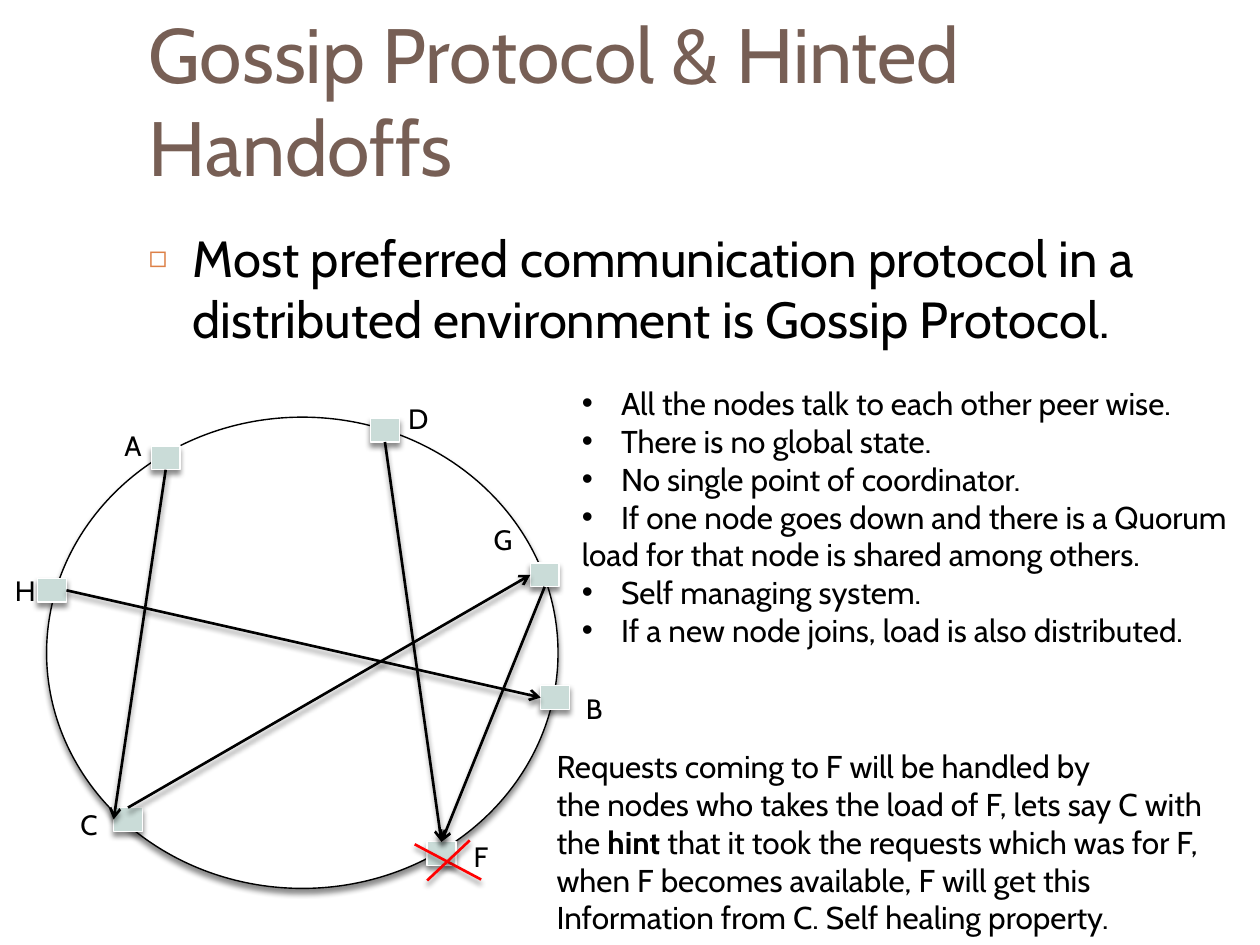
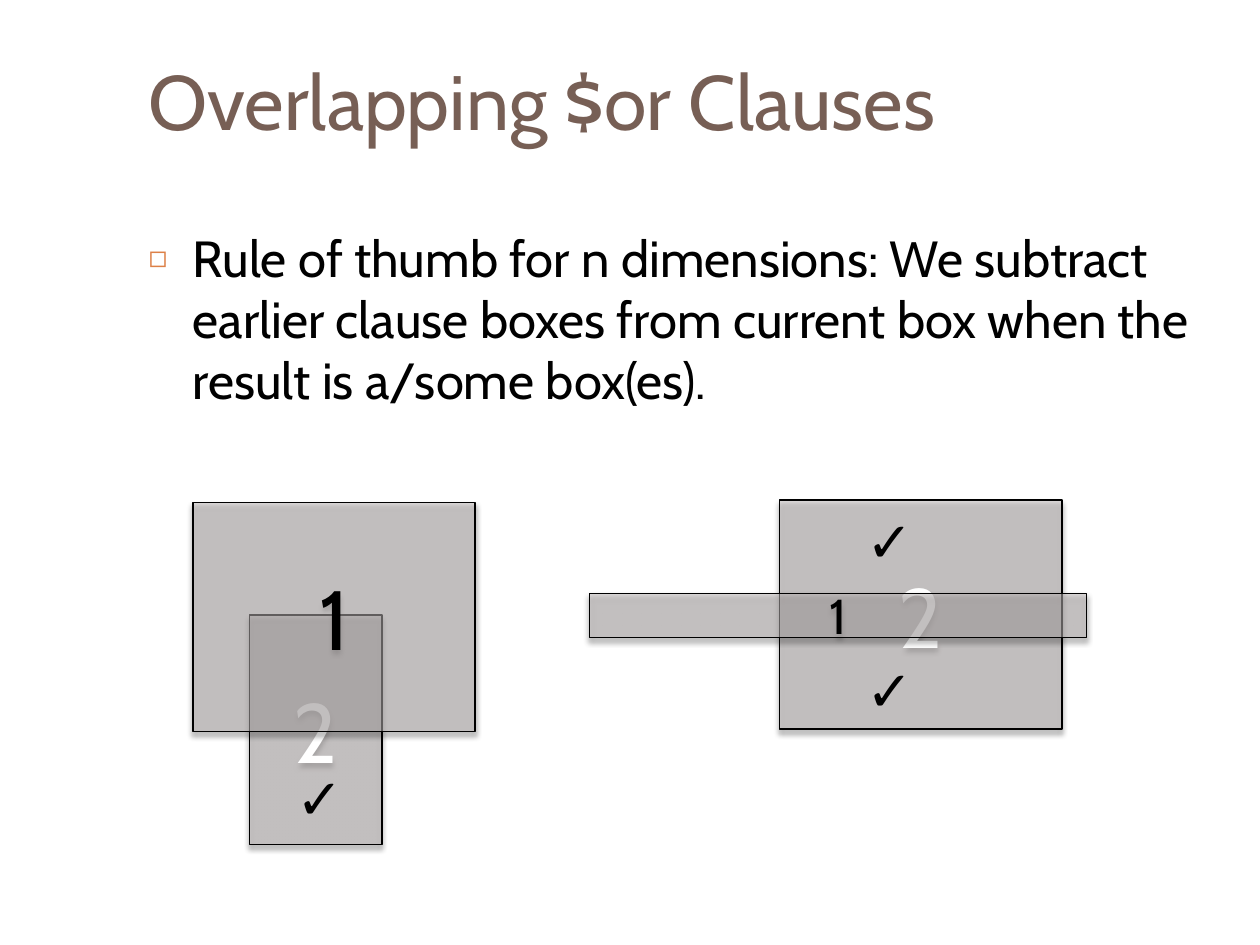
from dataclasses import dataclass

from lxml import etree
from pptx import Presentation
from pptx.dml.color import RGBColor
from pptx.enum.shapes import MSO_CONNECTOR, MSO_SHAPE
from pptx.enum.text import MSO_ANCHOR, MSO_AUTO_SIZE, PP_ALIGN
from pptx.oxml.ns import qn
from pptx.util import Cm, Pt

# Shared style
FONT, SYMBOL_FONT = "Cabin", "Arial"
BLACK, WHITE, RED = "000000", "FFFFFF", "FF0000"
TITLE_COLOR, BULLET_COLOR = "775F55", "DD8047"
NODE_FILL, BOX_FILL = "CADCD8", "C0BABA"
THIN, ARROW_WIDTH = 0.79, 1.5

STRAIGHT = MSO_CONNECTOR.STRAIGHT
CIRCLE, NODE_SHAPE = MSO_SHAPE.FLOWCHART_CONNECTOR, MSO_SHAPE.FLOWCHART_PROCESS
RECTANGLE = MSO_SHAPE.RECTANGLE
TOP, MIDDLE = MSO_ANCHOR.TOP, MSO_ANCHOR.MIDDLE
LEFT, CENTER = PP_ALIGN.LEFT, PP_ALIGN.CENTER
NO_AUTOFIT = MSO_AUTO_SIZE.NONE
SIDE_TOP, SIDE_LEFT, SIDE_BOTTOM, SIDE_RIGHT = range(4)


@dataclass
class Area:
    left: float
    top: float
    width: float
    height: float

    def lengths(self) -> tuple:
        return Cm(self.left), Cm(self.top), Cm(self.width), Cm(self.height)


@dataclass
class Node:
    name: str
    left: float
    top: float
    label_left: float
    label_top: float


@dataclass
class Message:
    sender: str
    sender_side: int
    receiver: str
    receiver_side: int


@dataclass
class ClauseBox:
    area: Area
    number: str
    size: int
    color: str


TITLE_AREA = Area(2.74, 0.63, 22.66, 2.74)
BODY_AREA = Area(2.74, 4.45, 22.66, 12.5)

# Gossip ring
RING_AREA = Area(0.94, 8.41, 10.31, 9.5)
NODES = [
    Node("A", 3.05, 8.99, 2.26, 8.51),
    Node("D", 7.47, 8.43, 7.98, 7.98),
    Node("G", 10.69, 11.35, 9.7, 10.41),
    Node("H", 0.76, 11.66, 0.05, 11.43),
    Node("C", 2.29, 16.28, 1.37, 16.15),
    Node("B", 10.9, 13.82, 11.56, 13.82),
    Node("F", 8.61, 16.97, 9.3, 16.79),
]
MESSAGES = [
    Message("A", SIDE_BOTTOM, "C", SIDE_LEFT),
    Message("D", SIDE_BOTTOM, "F", SIDE_TOP),
    Message("H", SIDE_RIGHT, "B", SIDE_LEFT),
    Message("C", SIDE_TOP, "G", SIDE_LEFT),
    Message("G", SIDE_BOTTOM, "F", SIDE_TOP),
]
FAILURE_CROSS = [(8.36, 17.02, 9.7, 17.73), (8.61, 17.75, 9.47, 16.94)]
GOSSIP_FACTS = [
    "• All the nodes talk to each other peer wise.",
    "• There is no global state.",
    "• No single point of coordinator.",
    "• If one node goes down and there is a Quorum",
    "load for that node is shared among others.",
    "• Self managing system.",
    "• If a new node joins, load is also distributed.",
]
HANDOFF_LINES = [
    "Requests coming to F will be handled by",
    "the nodes who takes the load of F, lets say C with",
    "the *hint* that it took the requests which was for F,",
    "when F becomes available, F will get this",
    "Information from C. Self healing property.",
]

# Clause boxes, from back to front
CLAUSE_BOXES = [
    ClauseBox(Area(5.03, 12.4, 2.67, 4.62), "2", 48, WHITE),
    ClauseBox(Area(15.72, 10.08, 5.69, 4.62), "2", 48, WHITE),
    ClauseBox(Area(11.89, 11.96, 10.01, 0.89), "1", 28, BLACK),
    ClauseBox(Area(3.89, 10.13, 5.69, 4.62), "1", 48, BLACK),
]
CHECK_POSITIONS = [(5.72, 15.27), (17.22, 13.08), (17.22, 10.08)]


def rgb(color: str) -> RGBColor:
    return RGBColor.from_string(color)


def add_xml(parent, tag: str, **attributes):
    return etree.SubElement(parent, qn(tag), attributes)


def format_paragraph(paragraph, size: float, color: str, font: str = FONT) -> None:
    for run in paragraph.runs:
        run.font.size = Pt(size)
        run.font.name = font
        run.font.color.rgb = rgb(color)


def add_bullet(paragraph, symbol: str, indent: float, color: str = BLACK, percent: int = 100) -> None:
    properties = paragraph._p.get_or_add_pPr()
    properties.set("marL", str(Cm(indent)))
    properties.set("indent", str(-Cm(indent)))
    add_xml(add_xml(properties, "a:buClr"), "a:srgbClr", val=color)
    add_xml(properties, "a:buSzPct", val=str(percent * 1000))
    add_xml(properties, "a:buFont", typeface=SYMBOL_FONT)
    add_xml(properties, "a:buChar", char=symbol)


def add_shadow(element) -> None:
    properties = element._element.spPr
    effects = properties.find(qn("a:effectLst"))
    if effects is None:
        effects = add_xml(properties, "a:effectLst")
    shadow = add_xml(effects, "a:outerShdw", blurRad=str(Pt(3)), dist=str(Pt(2.4)),
                     dir="5400000", rotWithShape="0")
    add_xml(add_xml(shadow, "a:srgbClr", val=BLACK), "a:alpha", val="45000")


def add_figure(slide, kind, area: Area, fill: str, line: str):
    figure = slide.shapes.add_shape(kind, *area.lengths())
    figure.fill.solid()
    figure.fill.fore_color.rgb = rgb(fill)
    figure.line.color.rgb = rgb(line)
    figure.line.width = Pt(THIN)
    figure.shadow.inherit = False
    add_shadow(figure)
    return figure


def add_line(slide, start: tuple, end: tuple, color: str, arrow: bool = False):
    line = slide.shapes.add_connector(STRAIGHT, *(Cm(value) for value in start + end))
    line.line.color.rgb = rgb(color)
    line.line.width = Pt(ARROW_WIDTH)
    if arrow:
        add_xml(line.line._get_or_add_ln(), "a:tailEnd", type="arrow")
    add_shadow(line)
    return line


def add_text(slide, area: Area, lines: list[str], size: float, font: str = FONT, wrap: bool = False) -> None:
    """Lines may start with a bullet; words between asterisks are bold."""
    frame = slide.shapes.add_textbox(*area.lengths()).text_frame
    frame.word_wrap = wrap
    frame.text = "\n".join(line.removeprefix("• ") for line in lines)
    for line, paragraph in zip(lines, frame.paragraphs):
        if "*" in line:
            paragraph.text = ""
            for position, part in enumerate(line.split("*")):
                run = paragraph.add_run()
                run.text = part
                run.font.bold = position % 2 == 1
        if line.startswith("•"):
            add_bullet(paragraph, "•", 0.79)
        format_paragraph(paragraph, size, BLACK, font)


def fill_placeholder(placeholder, area: Area, text: str, anchor, size: float, color: str):
    placeholder.left, placeholder.top, placeholder.width, placeholder.height = area.lengths()
    frame = placeholder.text_frame
    frame.text = text
    frame.auto_size = NO_AUTOFIT
    frame.vertical_anchor = anchor
    paragraph = frame.paragraphs[0]
    paragraph.alignment = LEFT
    format_paragraph(paragraph, size, color)
    return paragraph


def add_content_slide(deck, title: str, statement: str):
    slide = deck.slides.add_slide(deck.slide_layouts[1])
    fill_placeholder(slide.shapes.title, TITLE_AREA, title, MIDDLE, 44, TITLE_COLOR)
    body = fill_placeholder(slide.placeholders[1], BODY_AREA, statement, TOP, 29, BLACK)
    body.space_before = Pt(7)
    add_bullet(body, "◻", 0.89, BULLET_COLOR, 60)
    return slide


def build_gossip_slide(deck) -> None:
    slide = add_content_slide(
        deck, "Gossip Protocol & Hinted Handoffs",
        "Most preferred communication protocol in a distributed environment is Gossip Protocol.")
    add_figure(slide, CIRCLE, RING_AREA, WHITE, BLACK)

    # Nodes and their labels
    squares = {}
    for node in NODES:
        area = Area(node.left, node.top, 0.58, 0.48)
        squares[node.name] = add_figure(slide, NODE_SHAPE, area, NODE_FILL, WHITE)
    for node in NODES:
        add_text(slide, Area(node.label_left, node.label_top, 0.86, 0.94), [node.name], 16, wrap=True)

    add_text(slide, Area(11.48, 7.62, 14.35, 6.4), GOSSIP_FACTS, 18)

    # Messages between nodes, and the failed node
    for message in MESSAGES:
        arrow = add_line(slide, (0, 0), (1, 1), BLACK, arrow=True)
        arrow.begin_connect(squares[message.sender], message.sender_side)
        arrow.end_connect(squares[message.receiver], message.receiver_side)
    for stroke in FAILURE_CROSS:
        add_line(slide, stroke[:2], stroke[2:], RED)

    add_text(slide, Area(10.97, 14.94, 14.55, 4.11), HANDOFF_LINES, 18)


def build_clauses_slide(deck) -> None:
    slide = add_content_slide(
        deck, "Overlapping $or Clauses",
        "Rule of thumb for n dimensions: We subtract earlier clause boxes from current box "
        "when the result is a/some box(es).")

    # Half-transparent clause boxes
    for box in CLAUSE_BOXES:
        figure = add_figure(slide, RECTANGLE, box.area, BOX_FILL, BLACK)
        fill_color = figure._element.spPr.find(qn("a:solidFill"))[0]
        add_xml(fill_color, "a:alpha", val="50000")
        frame = figure.text_frame
        frame.text = box.number
        frame.vertical_anchor = MIDDLE
        frame.paragraphs[0].alignment = CENTER
        format_paragraph(frame.paragraphs[0], box.size, box.color)

    # Parts that remain after subtraction
    for left, top in CHECK_POSITIONS:
        add_text(slide, Area(left, top, 1.37, 1.63), ["✓"], 32, SYMBOL_FONT)


def main() -> None:
    deck = Presentation()
    deck.slide_width, deck.slide_height = Cm(25.4), Cm(19.05)
    build_gossip_slide(deck)
    build_clauses_slide(deck)
    deck.save("out.pptx")


if __name__ == "__main__":
    main()
